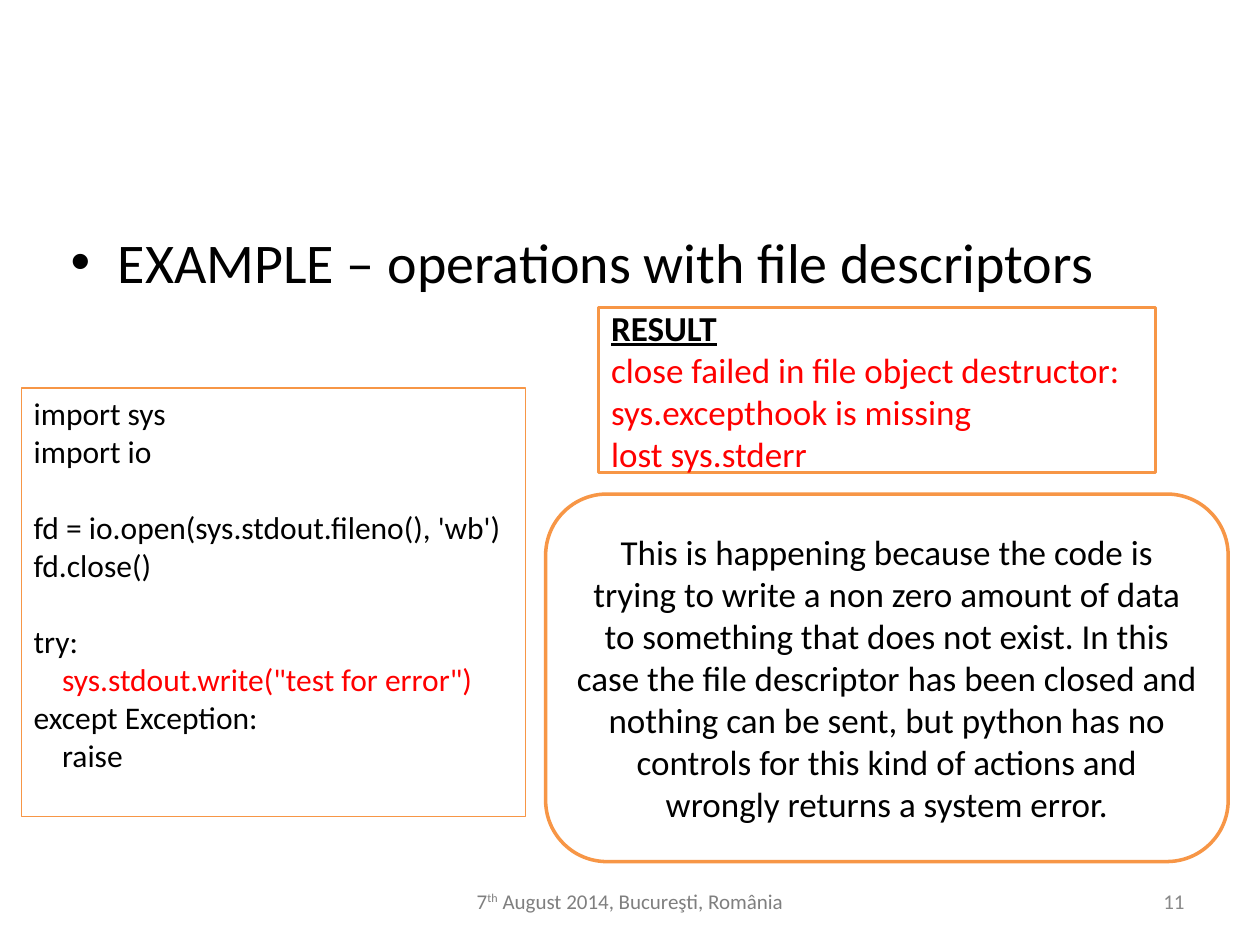
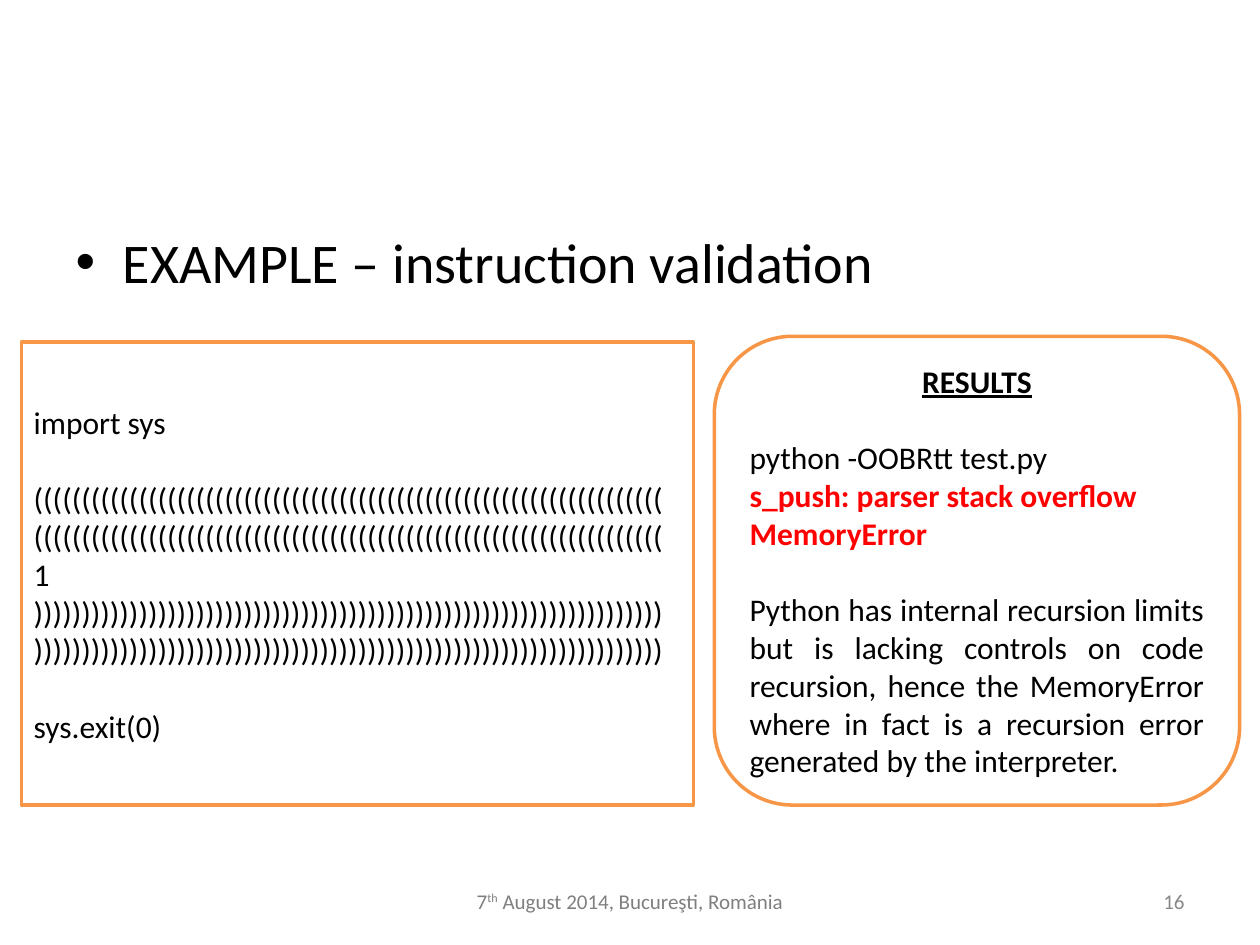
from lxml import etree
from pptx import Presentation
from pptx.dml.color import RGBColor
from pptx.enum.shapes import MSO_SHAPE
from pptx.enum.text import MSO_ANCHOR, MSO_AUTO_SIZE, PP_ALIGN
from pptx.oxml.ns import qn
from pptx.util import Cm, Pt

RECT, ROUND = MSO_SHAPE.RECTANGLE, MSO_SHAPE.ROUNDED_RECTANGLE
TOP, MID = MSO_ANCHOR.TOP, MSO_ANCHOR.MIDDLE
LEFT, MID_AL, RIGHT, FULL = PP_ALIGN.LEFT, PP_ALIGN.CENTER, PP_ALIGN.RIGHT, PP_ALIGN.JUSTIFY
NO_FIT = MSO_AUTO_SIZE.NONE
FONT = "Calibri"
BLACK, RED, ORANGE = "000000", "FF0000", "F79646"
GREY, PALE = "7F7F7F", "898989"
GAP = 22


def tint(code):
    return RGBColor.from_string(code)


def write(shape, size, anchor, paras):
    frame = shape.text_frame
    frame.word_wrap = True
    frame.auto_size = NO_FIT
    frame.vertical_anchor = anchor
    for i, (align, gap, runs) in enumerate(paras):
        para = frame.add_paragraph() if i else frame.paragraphs[0]
        para.alignment = align
        if gap:
            para.space_before = Pt(gap)
        for text, color, style in runs:
            run = para.add_run()
            run.text = text
            font = run.font
            font.name, font.size = FONT, Pt(size)
            font.color.rgb = tint(color)
            font.bold = "b" in style
            font.underline = "u" in style
            if "s" in style:
                run._r.get_or_add_rPr().set("baseline", "30000")


file_code = [
    (LEFT, gap, [(text, color, "")]) for text, gap, color in [
        ("import sys", 0, BLACK),
        ("import io", 0, BLACK),
        ("fd = io.open(sys.stdout.fileno(), 'wb')", GAP, BLACK),
        ("fd.close()", 0, BLACK),
        ("try:", GAP, BLACK),
        ("    sys.stdout.write(\"test for error\")", 0, RED),
        ("except Exception:", 0, BLACK),
        ("    raise", 0, BLACK),
    ]
]
file_out = [(LEFT, 0, [("RESULT", BLACK, "bu")])] + [
    (LEFT, 0, [(text, RED, "")]) for text in [
        "close failed in file object destructor:",
        "sys.excepthook is missing",
        "lost sys.stderr",
    ]
]
file_why = [(MID_AL, 0, [(
    "This is happening because the code is trying to write a non zero amount of data "
    "to something that does not exist. In this case the file descriptor has been closed "
    "and nothing can be sent, but python has no controls for this kind of actions and "
    "wrongly returns a system error.", BLACK, "")])]
nest_code = [
    (LEFT, gap, [(text, BLACK, "")]) for text, gap in [
        ("import sys", 0),
        ("(" * 66, GAP),
        ("(" * 66, 0),
        ("1", 0),
        (")" * 66, 0),
        (")" * 66, 0),
        ("sys.exit(0)", GAP),
    ]
]
nest_out = [
    (MID_AL, 0, [("RESULTS", BLACK, "bu")]),
    (LEFT, GAP, [("python -OOBRtt test.py", BLACK, "")]),
    (LEFT, 0, [("s_push: parser stack overflow", RED, "b")]),
    (LEFT, 0, [("MemoryError", RED, "b")]),
    (FULL, GAP, [(
        "Python has internal recursion limits but is lacking controls on code recursion, "
        "hence the MemoryError where in fact is a recursion error generated by the "
        "interpreter.", BLACK, "")]),
]

pages = [
    ("11", "EXAMPLE – operations with file descriptors", 1.17, [
        (RECT, (0.43, 7.82, 10.16, 8.64), 0.75, 18, TOP, file_code),
        (RECT, (12.07, 6.2, 11.23, 3.33), 2, 20, MID, file_out),
        (ROUND, (11, 9.96, 13.76, 7.41), 2, 20, MID, file_why),
    ]),
    ("16", "EXAMPLE – instruction validation", 1.27, [
        (RECT, (0.43, 6.9, 13.55, 9.33), 2, 18, MID, nest_code),
        (ROUND, (14.4, 6.78, 10.59, 9.45), 2, 18, MID, nest_out),
    ]),
]

deck = Presentation()
deck.slide_width, deck.slide_height = Cm(25.4), Cm(19.05)

for number, head, left, boxes in pages:
    slide = deck.slides.add_slide(deck.slide_layouts[5])

    title = slide.shapes.title
    title.left, title.top, title.width, title.height = Cm(left), Cm(4.45), Cm(22.86), Cm(1.75)
    props = title.text_frame.paragraphs[0]._p.get_or_add_pPr()
    props.set("marL", str(Cm(0.95)))
    props.set("indent", str(-Cm(0.95)))
    etree.SubElement(props, qn("a:buFont")).set("typeface", "Arial")
    etree.SubElement(props, qn("a:buChar")).set("char", "•")
    write(title, 32, TOP, [(LEFT, 0, [(head, BLACK, "")])])

    for kind, place, line, size, anchor, paras in boxes:
        box = slide.shapes.add_shape(kind, *map(Cm, place))
        box.shadow.inherit = False
        box.fill.background()
        box.line.color.rgb = tint(ORANGE)
        box.line.width = Pt(line)
        write(box, size, anchor, paras)

    date = slide.shapes.add_textbox(Cm(8.15), Cm(17.65), Cm(9.1), Cm(1.02))
    write(date, 12, MID, [(MID_AL, 0, [
        ("7", GREY, ""),
        ("th", GREY, "s"),
        (" August 2014, Bucureşti, România", GREY, ""),
    ])])
    page = slide.shapes.add_textbox(Cm(18.21), Cm(17.65), Cm(5.92), Cm(1.02))
    write(page, 12, MID, [(RIGHT, 0, [(number, PALE, "")])])

deck.save("out.pptx")
